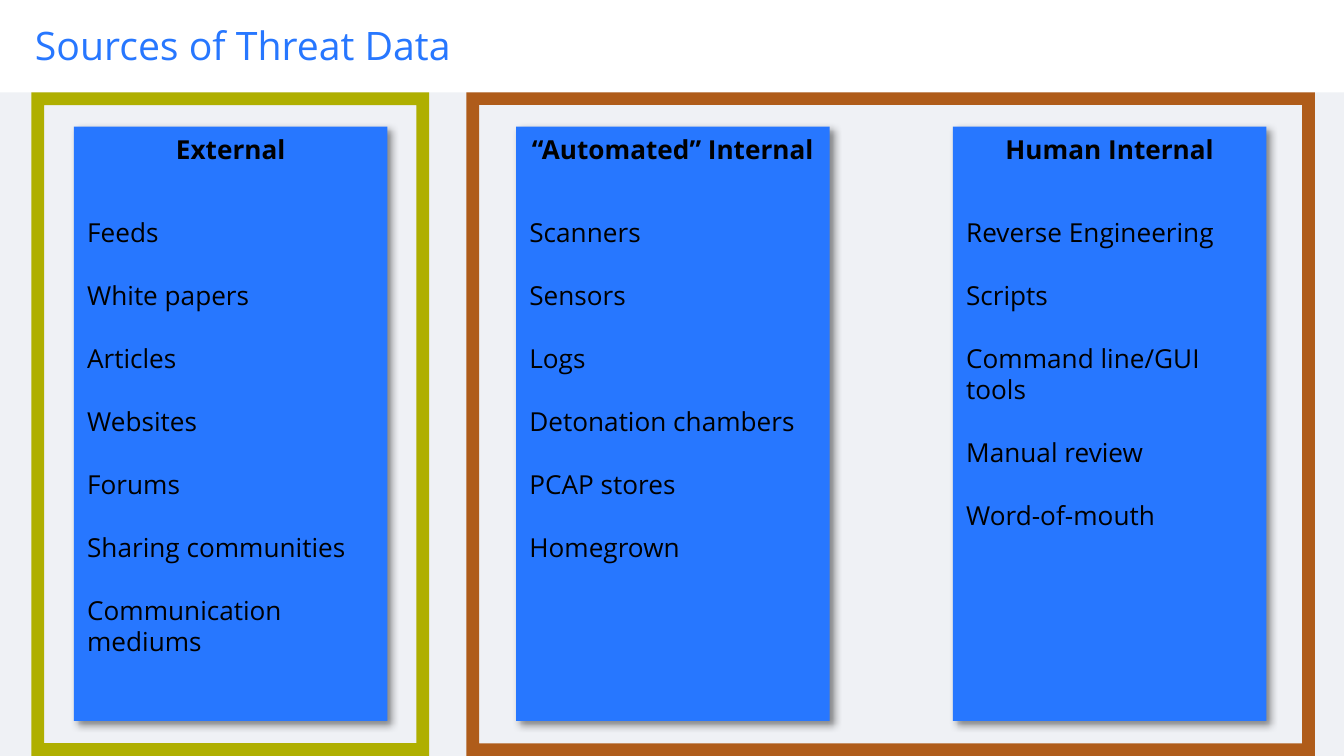
import pptx
import pptx.util
import pptx.oxml
import pptx.dml.color
import pptx.enum.shapes
import pptx.enum.text

Pt = pptx.util.Pt
Kind = pptx.enum.shapes.MSO_SHAPE
Align = pptx.enum.text.PP_ALIGN
NS = 'xmlns:a="http://schemas.openxmlformats.org/drawingml/2006/main"'

# Content
TITLE = "Sources of Threat Data"
CARDS = [
    (39.6, "External",
     ["Feeds", "White papers", "Articles", "Websites", "Forums",
      "Sharing communities", "Communication mediums"]),
    (276.5, "“Automated” Internal",
     ["Scanners", "Sensors", "Logs", "Detonation chambers",
      "PCAP stores", "Homegrown"]),
    (510.5, "Human Internal",
     ["Reverse Engineering", "Scripts", "Command line/GUI tools",
      "Manual review", "Word-of-mouth"]),
]
# Left, width, border share, colour
FRAMES = [(16.8, 213.1, 0.032, "AFAF00"), (249.9, 454.5, 0.019, "AF5C1A")]

# Layout
WIDE, HIGH = 720, 405
BAND = 49.5
TOP, CARD_W, CARD_H = 67.8, 168, 318.4
HEAD_H, LIST_TOP = 24.5, 112.4
GAP = 16.9


def tint(color, code):
    color.rgb = pptx.dml.color.RGBColor.from_string(code)


def add_block(slide, kind, left, top, width, height, code):
    block = slide.shapes.add_shape(
        kind, Pt(left), Pt(top), Pt(width), Pt(height))
    block.shadow.inherit = False
    block.fill.solid()
    tint(block.fill.fore_color, code)
    block.line.fill.background()
    return block


def write(box, lines, size=14, code="000000", bold=False,
          align=Align.LEFT, gap=0):
    frame = box.text_frame
    frame.word_wrap = True
    frame.auto_size = pptx.enum.text.MSO_AUTO_SIZE.NONE
    frame.vertical_anchor = pptx.enum.text.MSO_ANCHOR.TOP
    for i, line in enumerate(lines):
        para = frame.paragraphs[0] if i == 0 else frame.add_paragraph()
        para.alignment = align
        para.space_before = Pt(gap if i else 0)
        run = para.add_run()
        run.text = line
        run.font.name = "Open Sans"
        run.font.size = Pt(size)
        run.font.bold = bold
        tint(run.font.color, code)


def add_text(slide, left, top, height, lines, **style):
    box = slide.shapes.add_textbox(Pt(left), Pt(top), Pt(CARD_W), Pt(height))
    write(box, lines, **style)


def fade(block, share):
    color = block.fill._xPr.find(".//{*}srgbClr")
    color.append(pptx.oxml.parse_xml(f'<a:alpha {NS} val="{share * 1000}"/>'))


def cast(block):
    effects = block._element.spPr.find("{*}effectLst")
    effects.append(pptx.oxml.parse_xml(
        f'<a:outerShdw {NS} blurRad="{Pt(4)}" dist="{Pt(3)}" dir="2700000" '
        'algn="tl" rotWithShape="0"><a:srgbClr val="000000">'
        '<a:alpha val="43000"/></a:srgbClr></a:outerShdw>'))


def main():
    deck = pptx.Presentation()
    deck.slide_width, deck.slide_height = Pt(WIDE), Pt(HIGH)
    slide = deck.slides.add_slide(deck.slide_layouts[5])

    # Title
    title = slide.shapes.title
    title.left, title.top = Pt(11.5), Pt(8)
    title.width, title.height = Pt(289.5), Pt(32.4)
    write(title, [TITLE], size=21, code="2777FF")

    # Pale band below the title
    fade(add_block(slide, Kind.RECTANGLE, 0, BAND, WIDE, HIGH - BAND,
                   "6878A3"), 10)

    # Cards with heading and list
    for left, head, items in CARDS:
        cast(add_block(slide, Kind.RECTANGLE, left, TOP, CARD_W, CARD_H,
                       "2777FF"))
        add_text(slide, left, TOP, HEAD_H, [head], bold=True,
                 align=Align.CENTER)
        add_text(slide, left, LIST_TOP, TOP + CARD_H - LIST_TOP, items,
                 gap=GAP)

    # Frames around external and internal sources
    for left, width, share, code in FRAMES:
        frame = add_block(slide, Kind.FRAME, left, BAND, width, HIGH - BAND,
                          code)
        frame.adjustments[0] = share

    deck.save("out.pptx")


if __name__ == "__main__":
    main()
